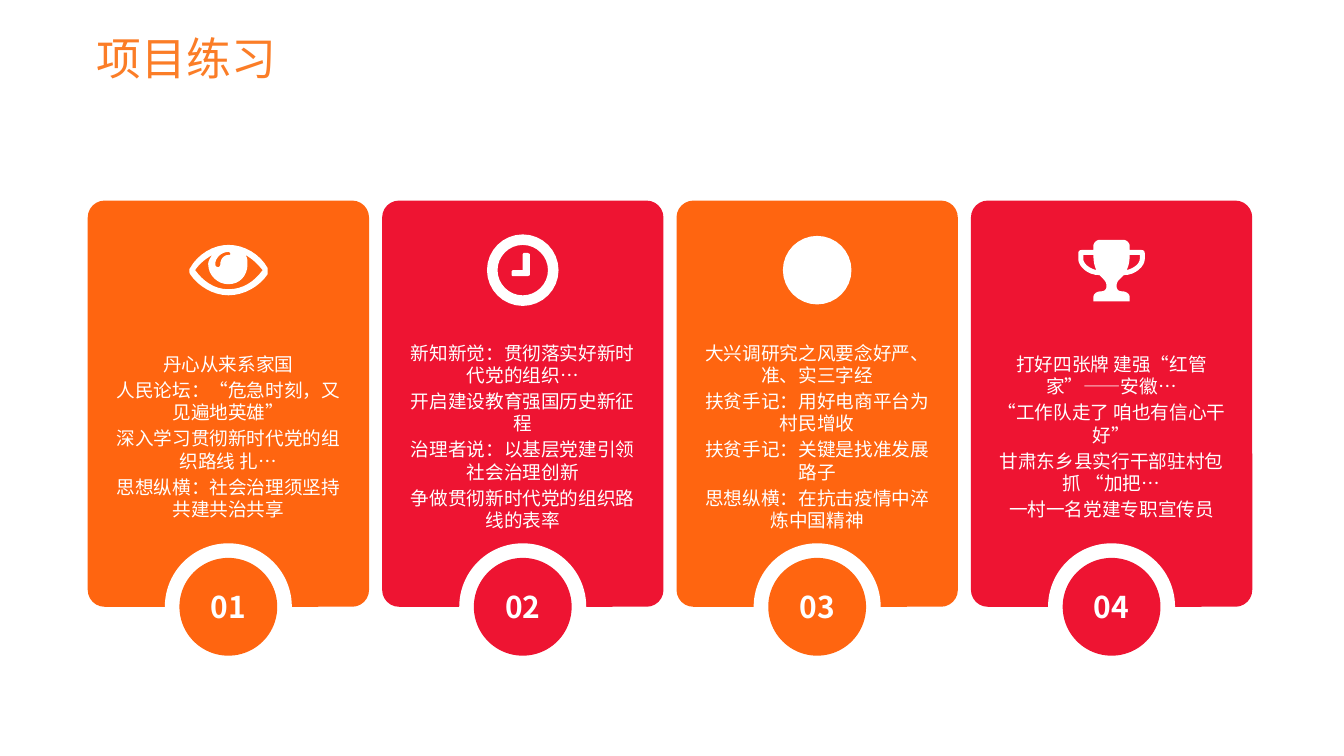
from dataclasses import dataclass

from lxml.etree import SubElement
from pptx import Presentation
from pptx.dml.color import RGBColor
from pptx.enum.shapes import MSO_SHAPE
from pptx.enum.text import MSO_ANCHOR, PP_ALIGN
from pptx.oxml.ns import qn
from pptx.shapes.autoshape import Shape
from pptx.slide import Slide
from pptx.text.text import TextFrame
from pptx.util import Inches, Pt

Point = tuple[float, float]
Contour = list[Point]


@dataclass(frozen=True)
class Theme:
    font: str = "Noto Sans CJK SC"
    orange: str = "FF6510"
    red: str = "EE1432"
    white: str = "FFFFFF"
    title: str = "FB7D27"
    title_size: float = 32
    number_size: float = 21.4
    body_size: float = 13.3
    line_ratio: float = 1.2
    paragraph_gap: float = 0.2


@dataclass(frozen=True)
class Card:
    color: str
    icon: list[Contour]
    lines: tuple[str, ...]


THEME = Theme()
FIRST_CENTER = 2.265
CARD_PITCH = 2.92
CARD_TOP = 1.99
CARD_WIDTH = 2.79
CARD_HEIGHT = 4.03
ICON_CENTER = 2.68
BADGE_CENTER = 6.02
BODY_TOP = 3.36
BODY_WIDTH = 2.29
BODY_HEIGHT = 1.94
ICON_PRECISION = 100
CURVE_STEPS = 8


def curve(*points: Point) -> Contour:
    result = [points[0]]
    for index in range(0, len(points) - 1, 3):
        segment = points[index:index + 4]
        for step in range(1, CURVE_STEPS + 1):
            t = step / CURVE_STEPS
            weights = ((1 - t) ** 3, 3 * t * (1 - t) ** 2, 3 * t * t * (1 - t), t ** 3)
            result.append((
                sum(weight * point[0] for weight, point in zip(weights, segment)),
                sum(weight * point[1] for weight, point in zip(weights, segment)),
            ))
    return result


def mirror(contour: Contour) -> Contour:
    return [(-x, y) for x, y in reversed(contour)]


def circle(radius: float) -> Contour:
    handle = radius * 0.55
    half = curve((0, -radius), (handle, -radius), (radius, -handle), (radius, 0),
                 (radius, handle), (handle, radius), (0, radius))
    return half + mirror(half)


def eye_icon() -> list[Contour]:
    outline = curve(
        (39, 4), (31, 16), (16, 25), (0, 25), (-15, 25), (-30, 16), (-38, 4),
        (-39, 2), (-39, -1), (-38, -2), (-30, -16), (-15, -25), (0, -25),
        (16, -25), (31, -16), (39, -2), (39, 0), (39, 2), (39, 4))
    white_of_eye = curve(
        (17, -15), (19, -12), (19, -9), (19, -6), (19, 6), (11, 14), (0, 14),
        (-10, 14), (-20, 6), (-20, -6), (-20, -9), (-18, -12), (-16, -15),
        (-23, -11), (-29, -6), (-33, 0), (-25, 11), (-14, 19), (0, 19),
        (15, 19), (26, 11), (34, 0), (29, -6), (24, -11), (17, -15))
    glint = curve(
        (0, -18), (-7, -18), (-13, -12), (-13, -6), (-13, -4), (-12, -3), (-10, -3),
        (-9, -3), (-8, -4), (-8, -6), (-8, -10), (-5, -15), (0, -15),
        (1, -15), (2, -15), (2, -16), (2, -17), (1, -18), (0, -18))
    return [outline, white_of_eye, glint]


def clock_icon() -> list[Contour]:
    hands = [(0, -16), (1, -17), (5, -17), (7, -16), (7, 5), (5, 6),
             (-10, 6), (-11, 5), (-11, 1), (-10, 0), (0, 0)]
    return [circle(35.5), circle(25), hands]


def disc_icon() -> list[Contour]:
    return [circle(34)]


def trophy_icon() -> list[Contour]:
    right_half = [
        (0, -30), *curve((12, -30), (15, -30), (18, -27), (18, -24)), (18, -20),
        *curve((29, -20), (32, -20), (33, -19), (33, -16)),
        *curve((33, -11), (33, -4), (24, 5), (12, 5)),
        *curve((8, 9), (6, 11), (5, 13), (5, 16), (5, 18), (6, 21), (10, 21),
               (14, 21), (18, 23), (18, 27)),
        (18, 31), (0, 31)]
    handle = [(28, -15), *curve((18, -15), (18, -9), (17, -4), (15, 0),
                                (23, -2), (28, -7), (28, -11))]
    return [right_half + mirror(right_half), handle, mirror(handle)]


CARDS = (
    Card(THEME.orange, eye_icon(), (
        "丹心从来系家国", "人民论坛：“危急时刻，又见遍地英雄”",
        "深入学习贯彻新时代党的组织路线 扎…", "思想纵横：社会治理须坚持共建共治共享")),
    Card(THEME.red, clock_icon(), (
        "新知新觉：贯彻落实好新时代党的组织…", "开启建设教育强国历史新征程",
        "治理者说：以基层党建引领社会治理创新", "争做贯彻新时代党的组织路线的表率")),
    Card(THEME.orange, disc_icon(), (
        "大兴调研究之风要念好严、准、实三字经", "扶贫手记：用好电商平台为村民增收",
        "扶贫手记：关键是找准发展路子", "思想纵横：在抗击疫情中淬炼中国精神")),
    Card(THEME.red, trophy_icon(), (
        "打好四张牌 建强“红管家”——安徽…", "“工作队走了 咱也有信心干好”",
        "甘肃东乡县实行干部驻村包抓 “加把…", "一村一名党建专职宣传员")),
)


def paint(shape: Shape, color: str) -> None:
    shape.shadow.inherit = False
    shape.fill.solid()
    shape.fill.fore_color.rgb = RGBColor.from_string(color)
    shape.line.fill.background()


def style_text(text_frame: TextFrame, size: float, color: str,
               alignment: PP_ALIGN, bold: bool = False) -> None:
    text_frame.word_wrap = True
    for paragraph in text_frame.paragraphs:
        paragraph.alignment = alignment
        paragraph.line_spacing = Pt(size * THEME.line_ratio)
        for run in paragraph.runs:
            run.font.name = THEME.font
            run.font.size = Pt(size)
            run.font.bold = bold
            run.font.color.rgb = RGBColor.from_string(color)
            east_asian = SubElement(run.font._element, qn("a:ea"))
            east_asian.set("typeface", THEME.font)


def clear_margins(text_frame: TextFrame) -> None:
    text_frame.margin_left = text_frame.margin_right = 0
    text_frame.margin_top = text_frame.margin_bottom = 0
    text_frame.vertical_anchor = MSO_ANCHOR.MIDDLE


def add_disc(slide: Slide, center: float, diameter: float, color: str) -> Shape:
    disc = slide.shapes.add_shape(
        MSO_SHAPE.OVAL, Inches(center - diameter / 2),
        Inches(BADGE_CENTER - diameter / 2), Inches(diameter), Inches(diameter))
    paint(disc, color)
    return disc


def add_icon(slide: Slide, center: float, contours: list[Contour]) -> None:
    scaled = [[(x * ICON_PRECISION, y * ICON_PRECISION) for x, y in contour]
              for contour in contours]
    builder = slide.shapes.build_freeform(*scaled[0][0], scale=Inches(0.01) / ICON_PRECISION)
    builder.add_line_segments(scaled[0][1:], close=True)
    for contour in scaled[1:]:
        builder.move_to(*contour[0])
        builder.add_line_segments(contour[1:], close=True)
    paint(builder.convert_to_shape(Inches(center), Inches(ICON_CENTER)), THEME.white)


def add_card(slide: Slide, index: int, card: Card) -> None:
    center = FIRST_CENTER + index * CARD_PITCH
    panel = slide.shapes.add_shape(
        MSO_SHAPE.ROUNDED_RECTANGLE, Inches(center - CARD_WIDTH / 2), Inches(CARD_TOP),
        Inches(CARD_WIDTH), Inches(CARD_HEIGHT))
    panel.adjustments[0] = 0.06
    paint(panel, card.color)
    add_disc(slide, center, 1.26, THEME.white)
    badge = add_disc(slide, center, 0.97, card.color)
    badge.text_frame.text = f"{index + 1:02}"
    clear_margins(badge.text_frame)
    style_text(badge.text_frame, THEME.number_size, THEME.white, PP_ALIGN.CENTER, True)
    add_icon(slide, center, card.icon)
    body = slide.shapes.add_textbox(
        Inches(center - BODY_WIDTH / 2), Inches(BODY_TOP),
        Inches(BODY_WIDTH), Inches(BODY_HEIGHT)).text_frame
    body.text = "\n".join(card.lines)
    clear_margins(body)
    style_text(body, THEME.body_size, THEME.white, PP_ALIGN.CENTER)
    for paragraph in body.paragraphs:
        paragraph.space_before = Pt(THEME.body_size * THEME.paragraph_gap)


def main() -> None:
    presentation = Presentation()
    presentation.slide_width = Inches(13.33)
    presentation.slide_height = Inches(7.5)
    slide = presentation.slides.add_slide(presentation.slide_layouts[6])
    for index, card in enumerate(CARDS):
        add_card(slide, index, card)
    title = slide.shapes.add_textbox(Inches(0.86), Inches(0.26), Inches(3.22), Inches(0.64))
    title.text_frame.text = "项目练习"
    style_text(title.text_frame, THEME.title_size, THEME.title, PP_ALIGN.LEFT)
    presentation.save("out.pptx")


if __name__ == "__main__":
    main()
